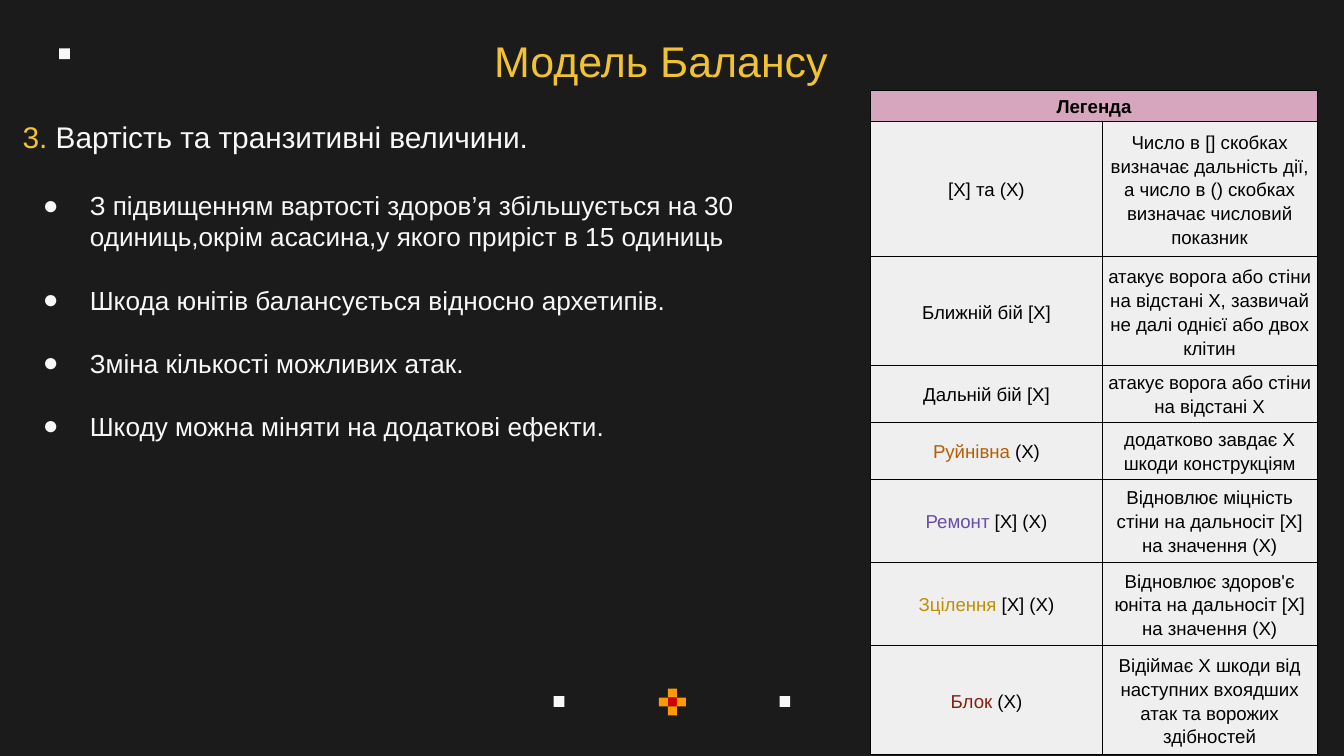
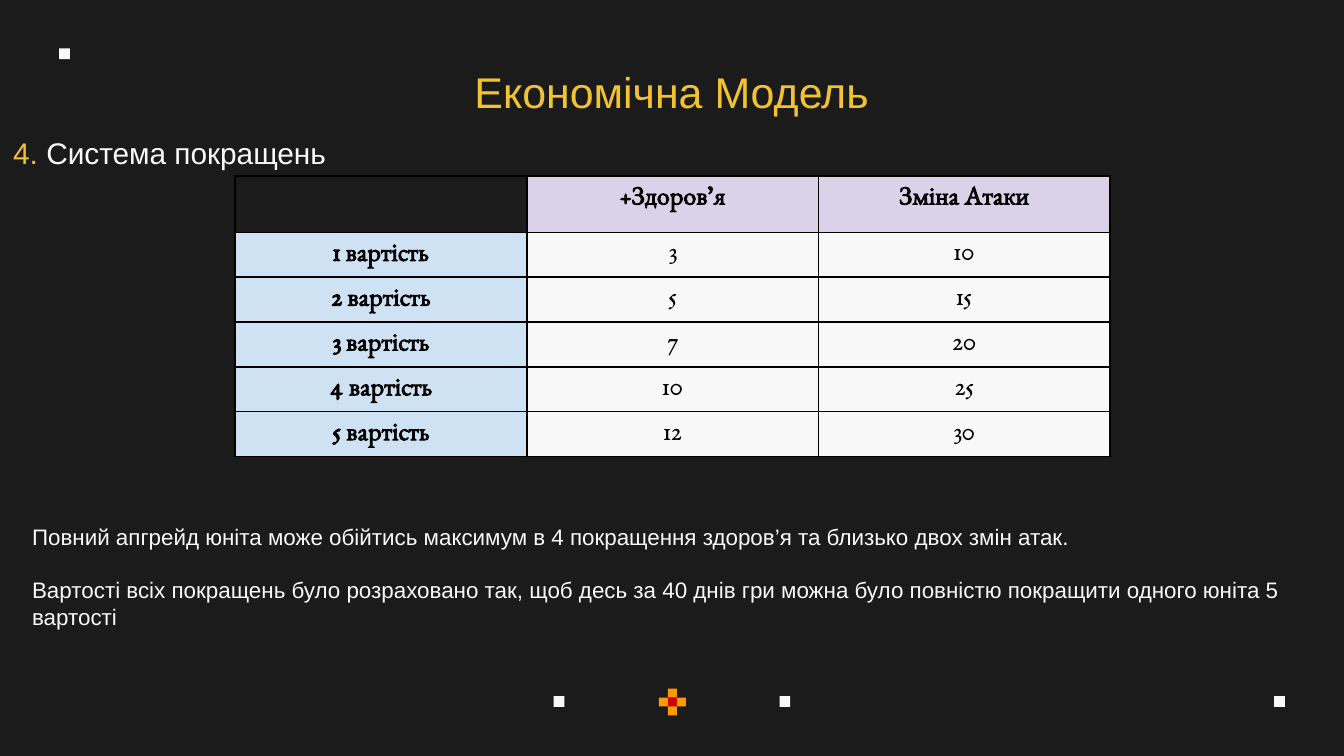
from lxml.etree import SubElement
from pptx import Presentation
from pptx.dml.color import RGBColor
from pptx.enum.shapes import MSO_SHAPE
from pptx.enum.text import MSO_ANCHOR, PP_ALIGN
from pptx.oxml.ns import qn
from pptx.util import Inches, Pt

BACKGROUND, WHITE, BLACK = "1B1B1B", "F8F8F8", "000000"
YELLOW, ORANGE, RED = "F1C232", "FF9900", "CC0000"
PINK, GREY, LILAC, BLUE = "D5A6BD", "EFEFEF", "D9D2E9", "CFE2F3"

DOTS = [(4.12, 5.18), (5.8, 5.18), (9.48, 5.18), (0.44, 0.36)]
CROSS = [(0, 0, RED), (0, -1, ORANGE), (-1, 0, ORANGE), (1, 0, ORANGE), (0, 1, ORANGE)]

BALANCE_POINTS = [
    "З підвищенням вартості здоров’я збільшується на 30 одиниць,окрім асасина,у якого приріст в 15 одиниць",
    "Шкода юнітів балансується відносно архетипів.",
    "Зміна кількості можливих атак.",
    "Шкоду можна міняти на додаткові ефекти.",
]
# coloured keyword, its colour, rest of the label, meaning, row height
LEGEND = [
    ("", BLACK, "[X] та (Х)",
     "Число в [] скобках визначає дальність дії, а число в () скобках визначає числовий показник", 1.01),
    ("", BLACK, "Ближній бій [X]",
     "атакує ворога або стіни на відстані Х, зазвичай не далі однієї або двох клітин", 0.8),
    ("", BLACK, "Дальній бій [X]", "атакує ворога або стіни на відстані Х", 0.42),
    ("Руйнівна", "B45F06", " (X)", "додатково завдає Х шкоди конструкціям", 0.42),
    ("Ремонт", "674EA7", " [X] (Х)", "Відновлює міцність стіни на дальносіт [X] на значення (Х)", 0.62),
    ("Зцілення", "BF9000", " [X] (Х)", "Відновлює здоров'є юніта на дальносіт [X] на значення (Х)", 0.62),
    ("Блок ", "85200C", "(X)", "Відіймає Х шкоди від наступних вхоядших атак та ворожих здібностей", 0.81),
]
UPGRADES = [
    ("", "+Здоров’я", "Зміна Атаки"),
    ("1 вартість", "3", "10"),
    ("2 вартість", "5", "15"),
    ("3 вартість", "7", "20"),
    ("4 вартість", "10", "25"),
    ("5 вартість", "12", "30"),
]
UPGRADE_NOTES = [
    "Повний апгрейд юніта може обійтись максимум в 4 покращення здоров’я та близько двох змін атак.",
    "Вартості всіх покращень було розраховано так, щоб десь за 40 днів гри можна було повністю "
    "покращити одного юніта 5 вартості",
]


def rgb(color):
    return RGBColor.from_string(color)


def add_run(paragraph, text, size, color=WHITE, font="Arial", bold=False):
    run = paragraph.add_run()
    run.text = text
    run.font.size, run.font.name, run.font.bold = Pt(size), font, bold
    run.font.color.rgb = rgb(color)


def set_margins(target, horizontal, vertical):
    target.margin_left = target.margin_right = Inches(horizontal)
    target.margin_top = target.margin_bottom = Inches(vertical)


def add_text_box(slide, left, top, width, height):
    frame = slide.shapes.add_textbox(Inches(left), Inches(top), Inches(width), Inches(height)).text_frame
    frame.word_wrap = True
    set_margins(frame, 0.1, 0.1)
    return frame


def add_square(slide, left, top, side, color):
    square = slide.shapes.add_shape(
        MSO_SHAPE.RECTANGLE, Inches(left), Inches(top), Inches(side), Inches(side))
    square.shadow.inherit = False
    square.fill.solid()
    square.fill.fore_color.rgb = rgb(color)
    square.line.fill.background()


def add_slide(presentation, title, left, top):
    slide = presentation.slides.add_slide(presentation.slide_layouts[6])
    slide.background.fill.solid()
    slide.background.fill.fore_color.rgb = rgb(BACKGROUND)
    for dot_left, dot_top in DOTS:
        add_square(slide, dot_left, dot_top, 0.08, WHITE)
    side = 0.2 / 3
    for column, row, color in CROSS:
        add_square(slide, 4.97 + column * side, 5.19 + row * side, side, color)
    paragraph = add_text_box(slide, left, top, 8.44, 0.51).paragraphs[0]
    paragraph.alignment = PP_ALIGN.CENTER
    add_run(paragraph, title, 23, YELLOW)
    return slide


def add_heading(frame, number, text):
    add_run(frame.paragraphs[0], number, 16, YELLOW)
    add_run(frame.paragraphs[0], text, 16)


def add_bullet(paragraph, size):
    properties = paragraph._p.get_or_add_pPr()
    properties.set("marL", str(Inches(0.5)))
    properties.set("indent", str(Inches(-0.35)))
    color = SubElement(properties, qn("a:buClr"))
    SubElement(color, qn("a:srgbClr")).set("val", WHITE)
    SubElement(properties, qn("a:buSzPts")).set("val", str(size * 100))
    SubElement(properties, qn("a:buFont")).set("typeface", "Arial")
    SubElement(properties, qn("a:buChar")).set("char", "●")


def add_table(slide, left, top, widths, heights):
    table = slide.shapes.add_table(
        len(heights), len(widths), Inches(left), Inches(top),
        Inches(sum(widths)), Inches(sum(heights))).table
    table.first_row = table.horz_banding = False
    for column, width in zip(table.columns, widths):
        column.width = Inches(width)
    for row, height in zip(table.rows, heights):
        row.height = Inches(height)
    return table


def style_cell(cell, fill, border):
    """Draw the four borders, then fill the cell, or leave it clear, and centre its text."""
    properties = cell._tc.get_or_add_tcPr()
    for edge in ("lnL", "lnR", "lnT", "lnB"):
        line = SubElement(properties, qn(f"a:{edge}"))
        line.set("w", str(Pt(border)))
        SubElement(SubElement(line, qn("a:solidFill")), qn("a:srgbClr")).set("val", BLACK)
    if fill:
        cell.fill.solid()
        cell.fill.fore_color.rgb = rgb(fill)
    else:
        cell.fill.background()
    paragraph = cell.text_frame.paragraphs[0]
    paragraph.alignment = PP_ALIGN.CENTER
    return paragraph


def legend_cell(cell, fill):
    paragraph = style_cell(cell, fill, 0.6)
    paragraph.line_spacing = 1.15
    cell.vertical_anchor = MSO_ANCHOR.MIDDLE
    set_margins(cell, 0.03, 0.02)
    return paragraph


def build_balance_slide(presentation):
    slide = add_slide(presentation, "Модель Балансу", 0.7, 0.16)
    frame = add_text_box(slide, 0.07, 0.78, 6.4, 4.07)
    add_heading(frame, "3. ", "Вартість та транзитивні величини.")
    for index, point in enumerate(BALANCE_POINTS):
        paragraph = frame.add_paragraph()
        paragraph.space_before = Pt(17 if index else 19)
        add_bullet(paragraph, 14)
        add_run(paragraph, point, 14)

    heights = [0.23] + [entry[-1] for entry in LEGEND]
    table = add_table(slide, 6.48, 0.67, [1.72, 1.6], heights)
    header, header_end = table.cell(0, 0), table.cell(0, 1)
    add_run(legend_cell(header, PINK), "Легенда", 10, BLACK, bold=True)
    legend_cell(header_end, PINK)
    header.merge(header_end)
    for row, (keyword, color, rest, meaning, _) in enumerate(LEGEND, 1):
        label = legend_cell(table.cell(row, 0), GREY)
        if keyword:
            add_run(label, keyword, 10, color)
        add_run(label, rest, 10, BLACK)
        add_run(legend_cell(table.cell(row, 1), GREY), meaning, 10, BLACK)


def build_economy_slide(presentation):
    slide = add_slide(presentation, "Економічна Модель", 0.78, 0.39)
    table = add_table(slide, 1.75, 1.31, [2.17] * 3, [0.42] + [0.33] * 5)
    for row, values in enumerate(UPGRADES):
        for column, value in enumerate(values):
            cell = table.cell(row, column)
            set_margins(cell, 0.07, 0.07)
            cell.margin_bottom = Inches(0.03)
            fill = LILAC if row == 0 else BLUE if column == 0 else WHITE
            paragraph = style_cell(cell, fill if value else None, 1)
            if value:
                add_run(paragraph, value, 14, BLACK, "EB Garamond", bold=row == 0 or column == 0)

    add_heading(add_text_box(slide, 0, 0.9, 7.97, 0.47), "4. ", "Система покращень")
    frame = add_text_box(slide, 0.14, 3.79, 9.72, 1.41)
    for index, note in enumerate(UPGRADE_NOTES):
        paragraph = frame.add_paragraph() if index else frame.paragraphs[0]
        if index:
            paragraph.space_before = Pt(14)
        add_run(paragraph, note, 12)


def main():
    presentation = Presentation()
    presentation.slide_width = Inches(10)
    presentation.slide_height = presentation.slide_width * 9 // 16
    build_balance_slide(presentation)
    build_economy_slide(presentation)
    presentation.save("out.pptx")


if __name__ == "__main__":
    main()
